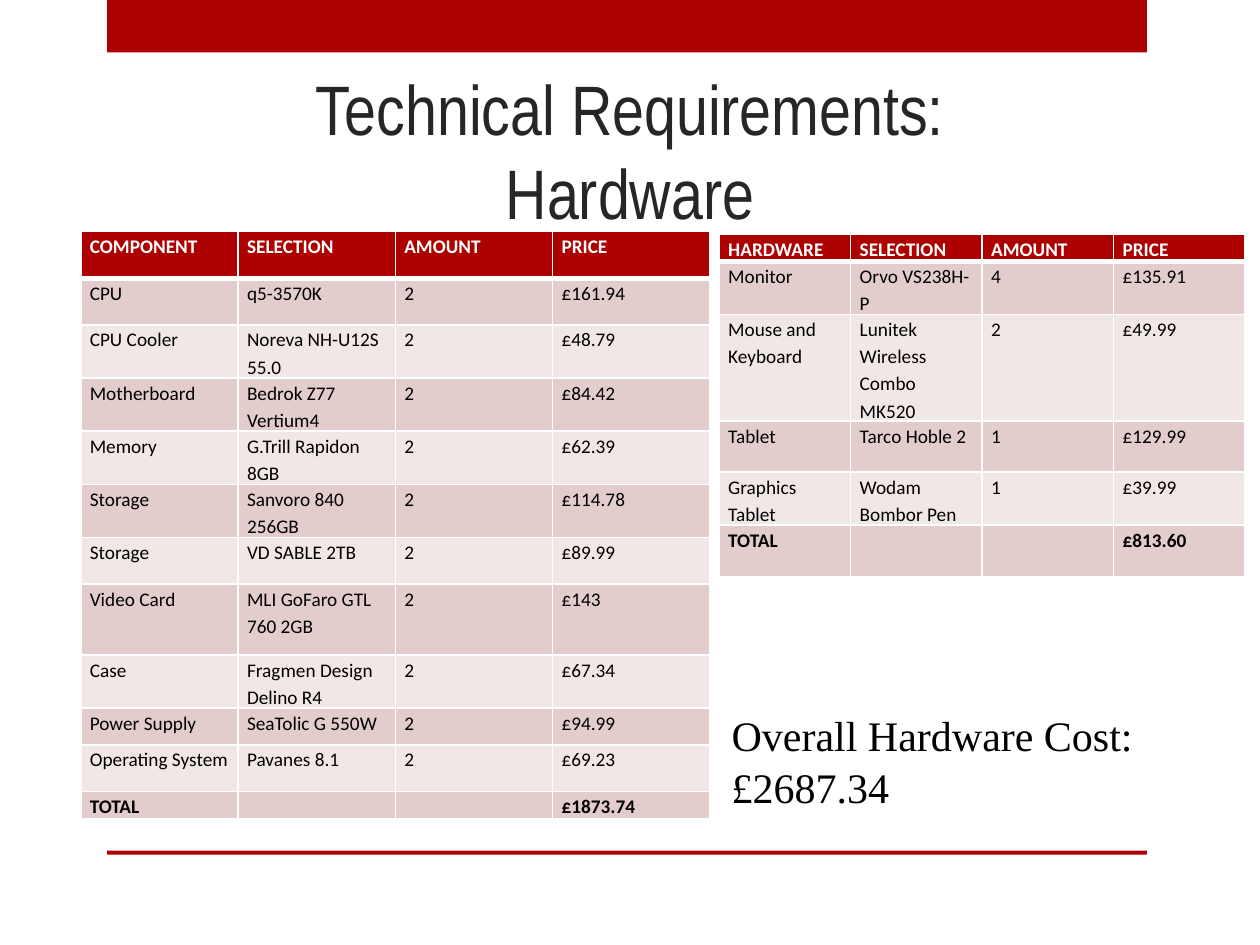
from dataclasses import dataclass
from typing import Any

from lxml import etree
from pptx import Presentation
from pptx import util as u
from pptx.dml import color
from pptx.enum import shapes, text
from pptx.oxml import ns

COMPONENTS = [
    ("COMPONENT", "SELECTION", "AMOUNT", "PRICE"),
    ("CPU", "q5-3570K", "2", "£161.94"),
    ("CPU Cooler", "Noreva NH-U12S 55.0", "2", "£48.79"),
    ("Motherboard", "Bedrok Z77 Vertium4", "2", "£84.42"),
    ("Memory", "G.Trill Rapidon 8GB", "2", "£62.39"),
    ("Storage", "Sanvoro 840 256GB", "2", "£114.78"),
    ("Storage", "VD SABLE 2TB", "2", "£89.99"),
    ("Video Card", "MLI GoFaro GTL 760 2GB", "2", "£143"),
    ("Case", "Fragmen Design Delino R4", "2", "£67.34"),
    ("Power Supply", "SeaTolic G 550W", "2", "£94.99"),
    ("Operating System", "Pavanes 8.1", "2", "£69.23"),
    ("TOTAL", "", "", "£1873.74"),
]
COMPONENT_HEIGHTS = [0.94, 0.94] + [1.07] * 4 + [0.94, 1.43, 1.07, 0.74, 0.94, 0.54]

HARDWARE = [
    ("HARDWARE", "SELECTION", "AMOUNT", "PRICE"),
    ("Monitor", "Orvo VS238H-P", "4", "£135.91"),
    ("Mouse and Keyboard", "Lunitek Wireless Combo MK520", "2", "£49.99"),
    ("Tablet", "Tarco Hoble 2", "1", "£129.99"),
    ("Graphics Tablet", "Wodam Bombor Pen", "1", "£39.99"),
    ("TOTAL", "", "", "£813.60"),
]
HARDWARE_HEIGHTS = [0.5, 1.07, 2.15, 1.03, 1.07, 1.03]


def rgb(value):
    return color.RGBColor.from_string(value)


def write(frame, content, size, font, ink, bold=False, align=text.PP_ALIGN.LEFT, spacing=1.0):
    frame.word_wrap = True
    paragraph = frame.paragraphs[0]
    paragraph.alignment = align
    paragraph.line_spacing = spacing
    if not content:
        end = etree.SubElement(paragraph._p, ns.qn("a:endParaRPr"))
        end.set("sz", str(size * 100))
        return
    paragraph.text = content
    for run in paragraph.runs:
        run.font.size = u.Pt(size)
        run.font.name = font
        run.font.bold = bold
        run.font.color.rgb = rgb(ink)


def add_border(cell, side, points, ink):
    properties = cell._tc.get_or_add_tcPr()
    line = etree.SubElement(properties, ns.qn(f"a:ln{side}"), w=str(u.Pt(points)))
    fill = etree.SubElement(line, ns.qn("a:solidFill"))
    etree.SubElement(fill, ns.qn("a:srgbClr"), val=ink)


@dataclass
class HardwareSlide:
    """Holds the slide and its style, and adds each kind of element."""

    slide: Any
    accent: str = "AD0101"
    bands: tuple = ("F1E7E7", "E3CCCC")
    white: str = "FFFFFF"
    black: str = "000000"
    table_font: str = "Calibri"

    def bar(self, top, height):
        shape = self.slide.shapes.add_shape(
            shapes.MSO_SHAPE.RECTANGLE, u.Cm(2.16), u.Cm(top), u.Cm(20.96), u.Cm(height))
        shape.shadow.inherit = False
        shape.fill.solid()
        shape.fill.fore_color.rgb = rgb(self.accent)
        shape.line.fill.background()

    def label(self, content, left, top, width, height, **style):
        shape = self.slide.shapes.add_textbox(u.Cm(left), u.Cm(top), u.Cm(width), u.Cm(height))
        write(shape.text_frame, content, **style)

    def table(self, rows, heights, left, top, column_width):
        columns = len(rows[0])
        table = self.slide.shapes.add_table(
            len(rows), columns, u.Cm(left), u.Cm(top),
            u.Cm(column_width * columns), u.Cm(sum(heights))).table
        for column in table.columns:
            column.width = u.Cm(column_width)
        for index, (values, height) in enumerate(zip(rows, heights)):
            table.rows[index].height = u.Cm(height)
            for cell, value in zip(table.rows[index].cells, values):
                self.cell(cell, value, index, index in (0, len(rows) - 1))

    def cell(self, cell, value, index, bold):
        header = index == 0
        cell.margin_left = cell.margin_right = u.Cm(0.18)
        cell.margin_top = cell.margin_bottom = 0
        for side in "LRTB":
            thick = (header and side == "B") or (index == 1 and side == "T")
            add_border(cell, side, 3 if thick else 1, self.white)
        cell.fill.solid()
        cell.fill.fore_color.rgb = rgb(self.accent if header else self.bands[index % 2])
        write(cell.text_frame, value, 11, self.table_font,
              self.white if header else self.black, bold=bold, spacing=1.15)


def main():
    presentation = Presentation()
    presentation.slide_width = u.Cm(25.4)
    presentation.slide_height = u.Cm(19.05)
    page = HardwareSlide(presentation.slides.add_slide(presentation.slide_layouts[6]))
    page.bar(0, 1.06)
    page.bar(17.15, 0.08)
    page.label("Technical Requirements:\vHardware", 0, 1.2, 25.4, 4.1, size=40,
               font="Arial Narrow", ink="262626", align=text.PP_ALIGN.CENTER)
    page.label("Overall Hardware Cost: £2687.34", 14.5, 14.12, 10.59, 2.31, size=24,
               font="Times New Roman", ink=page.black, spacing=1.05)
    page.table(COMPONENTS, COMPONENT_HEIGHTS, 1.63, 4.67, 3.17)
    page.table(HARDWARE, HARDWARE_HEIGHTS, 14.5, 4.73, 2.65)
    presentation.save("out.pptx")


if __name__ == "__main__":
    main()
